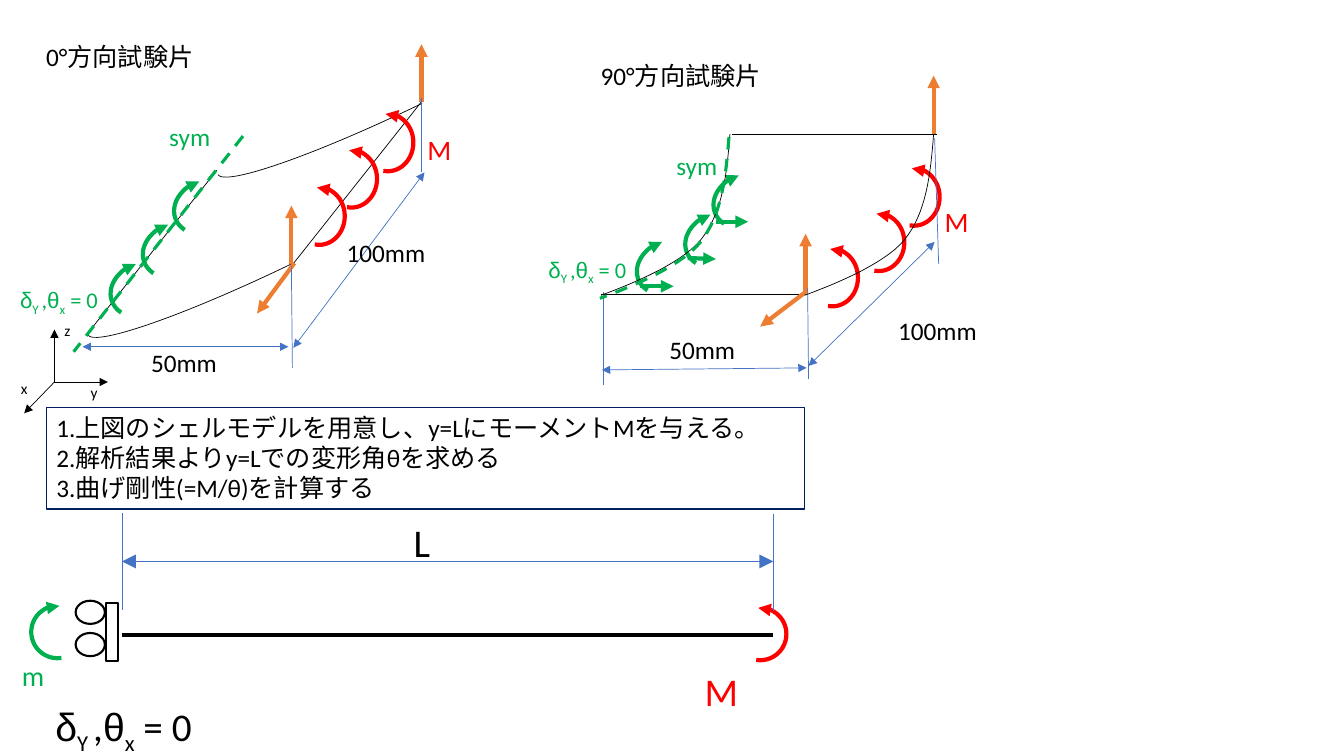
from dataclasses import dataclass

from lxml import etree
from pptx import Presentation, util as u
from pptx.dml.color import RGBColor
from pptx.enum import dml, shapes, text
from pptx.oxml import ns

HUES = {"black": "000000", "white": "FFFFFF", "green": "00B050", "red": "FF0000",
        "blue": "4472C4", "orange": "ED7D31", "navy": "002060"}
KIND = shapes.MSO_SHAPE


@dataclass
class Pen:
    hue: str
    width: float
    head: str = ""
    tail: str = ""
    dash: bool = False


@dataclass
class Line:
    x1: float
    y1: float
    x2: float
    y2: float
    pen: Pen


@dataclass
class Arc:
    x: float
    y: float
    w: float
    h: float
    pen: Pen
    turn: float = 0
    flip: bool = False
    span: tuple[float, ...] = ()


@dataclass
class Run:
    text: str
    face: str = "Calibri"
    base: int = 0


@dataclass
class Label:
    x: float
    y: float
    w: float
    h: float
    rows: list[list[Run]]
    size: float = 18
    hue: str = "black"
    wrap: bool = True
    mid: bool = False


EDGE, BEAM, BODY = Pen("black", 0.5), Pen("black", 3), Pen("black", 1.5)
AXIS = Pen("black", 0.5, tail="med")
EXT, DIM = Pen("blue", 0.5), Pen("blue", 0.5, "med", "med")
SPAN = Pen("blue", 0.5, "lg", "lg")
FORCE, SLIDE = Pen("orange", 3, tail="med"), Pen("green", 3, tail="med")
LOAD, SYM = Pen("red", 3, tail="med"), Pen("green", 2.25, dash=True)
FRAME = Pen("navy", 0.75)
HALF, TILT = (48.79, 164.53), (92.37, 164.53)


def say(*rows: str) -> list[list[Run]]:
    return [[Run(row)] for row in rows]


BOUND = [[Run("δ", "Arial"), Run("Y ", base=-25000), Run(","),
          Run("θ", "Arial"), Run("x", base=-25000), Run(" = 0")]]

EDGES = [
    Line(2.15, 1.69, 0.86, 3.32, EDGE), Line(4.18, 1.01, 2.89, 2.64, EDGE),
    Line(7.26, 1.33, 9.29, 1.33, EDGE), Line(5.96, 2.92, 7.99, 2.92, EDGE),
    Line(1.21, 6.3, 7.67, 6.3, BEAM),
]
LINES = [
    Line(4.18, 1.01, 4.18, 0.44, FORCE), Line(2.89, 2.62, 2.89, 2.04, FORCE),
    Line(2.92, 2.61, 2.55, 3.11, FORCE), Line(2.89, 2.64, 2.9, 3.65, EXT),
    Line(0.82, 3.44, 2.86, 3.44, DIM), Line(2.41, 1.35, 0.73, 3.49, SYM),
    Line(4.18, 0.97, 4.18, 1.71, EXT), Line(2.91, 3.45, 4.21, 1.71, DIM),
    Line(0.54, 3.79, 0.24, 4.1, AXIS), Line(0.54, 3.79, 1.07, 3.79, AXIS),
    Line(0.54, 3.8, 0.54, 3.27, AXIS),
    Line(9.26, 1.33, 9.26, 0.75, FORCE), Line(7.99, 2.9, 7.99, 2.32, FORCE),
    Line(8, 2.89, 7.54, 3.24, FORCE), Line(5.98, 2.9, 5.98, 3.82, EXT),
    Line(8.01, 2.86, 8.02, 3.76, EXT), Line(5.97, 3.67, 8, 3.65, DIM),
    Line(8.02, 3.63, 9.27, 2.4, DIM), Line(9.27, 1.37, 9.31, 2.62, EXT),
    Line(6.35, 2.84, 6.68, 2.84, SLIDE), Line(6.82, 2.56, 7.1, 2.57, SLIDE),
    Line(7.1, 2.2, 7.42, 2.2, SLIDE),
    Line(1.21, 5.09, 1.21, 6.05, EXT), Line(7.67, 5.1, 7.67, 6.06, EXT),
    Line(1.21, 5.57, 7.67, 5.57, SPAN),
]
LOADS = [(2.91, 1.86), (3.23, 1.49), (3.59, 1.13), (8, 2.47), (8.46, 2.12), (8.81, 1.67)]
HOLDS = [(1.72, 1.79), (1.09, 2.61), (1.41, 2.22), (6.31, 2.39), (7.07, 1.73), (6.79, 2.12)]
ARCS = [
    *(Arc(x, y, 4.26, 0.49, EDGE, 154.2) for x, y in [(0.66, 2.15), (1.95, 0.56)]),
    *(Arc(x, y, 0.51, 0.57, LOAD, flip=True, span=HALF) for x, y in LOADS),
    *(Arc(x, y, 0.66, 0.53, SLIDE, 340, span=TILT) for x, y in HOLDS),
    Arc(7.28, 6.03, 0.52, 0.52, LOAD, flip=True, span=HALF),
    Arc(0.31, 6.01, 0.52, 0.52, SLIDE, span=HALF),
]
BENDS = [(5.96, 1.33, EDGE), (7.98, 1.33, EDGE), (5.95, 1.36, SYM)]
CUBICS = [[(1.28, 0), (1.25, 0.39), (1.21, 0.78), (0.99, 1.05)],
          [(0.99, 1.05), (0.78, 1.31), (0.19, 1.53), (0, 1.6)]]
NOTE = Label(0.46, 4.04, 7.52, 1.01, say(
    "1.上図のシェルモデルを用意し、y=LにモーメントMを与える。",
    "2.解析結果よりy=Lでの変形角θを求める",
    "3.曲げ剛性(=M/θ)を計算する"))
LABELS = [
    Label(0.36, 0.36, 1.84, 0.4, say("0°方向試験片"), wrap=False),
    Label(5.86, 0.55, 1.97, 0.4, say("90°方向試験片"), wrap=False),
    Label(1.4, 3.4, 0.86, 0.4, say("50mm"), wrap=False),
    Label(6.54, 3.27, 0.86, 0.4, say("50mm"), wrap=False),
    Label(3.34, 2.31, 1, 0.4, say("100mm")),
    Label(8.81, 3.08, 0.99, 0.4, say("100mm"), wrap=False),
    Label(4.14, 1.27, 0.61, 0.44, say("M"), 20, "red"),
    Label(9.27, 1.98, 0.61, 0.44, say("M"), 20, "red"),
    Label(6.89, 6.57, 0.52, 0.57, say("M"), 28, "red"),
    Label(0.12, 6.48, 0.44, 0.44, say("m"), 20, "green"),
    Label(1.58, 1.15, 0.61, 0.4, say("sym"), hue="green", wrap=False),
    Label(6.61, 1.44, 0.61, 0.4, say("sym"), hue="green", wrap=False),
    Label(0.11, 3.71, 0.3, 0.29, say("x"), 11),
    Label(0.8, 3.75, 0.3, 0.29, say("y"), 11),
    Label(0.54, 3.14, 0.3, 0.29, say("z"), 11),
    Label(3.75, 5.09, 0.87, 0.57, say("L"), 28, mid=True),
    Label(0.1, 2.79, 1.02, 0.37, BOUND, 16, "green"),
    Label(5.34, 2.49, 1.02, 0.37, BOUND, 16, "green"),
    Label(0.45, 6.92, 1.76, 0.57, BOUND, 28),
]
BLOCKS = [(KIND.RECTANGLE, 1.05, 5.98, 0.12, 0.58),
          (KIND.OVAL, 0.75, 6.28, 0.29, 0.23), (KIND.OVAL, 0.75, 5.96, 0.29, 0.23)]


def cm(*spots: float) -> list[u.Length]:
    return [u.Cm(2.54 * spot) for spot in spots]


def tint(name: str) -> RGBColor:
    return RGBColor.from_string(HUES[name])


def ink(shape, pen: Pen) -> None:
    line = shape.line
    line.fill.solid()
    line.color.rgb = tint(pen.hue)
    line.width = u.Pt(pen.width)
    if pen.dash:
        line.dash_style = dml.MSO_LINE.DASH
    stroke = shape._element.spPr.find(ns.qn("a:ln"))
    for tag, size in (("a:headEnd", pen.head), ("a:tailEnd", pen.tail)):
        if size:
            etree.SubElement(stroke, ns.qn(tag), type="triangle", w=size, len=size)


def rule(slide, item: Line) -> None:
    wire = slide.shapes.add_connector(
        shapes.MSO_CONNECTOR.STRAIGHT, *cm(item.x1, item.y1, item.x2, item.y2))
    ink(wire, item.pen)
    etree.SubElement(wire._element.spPr, ns.qn("a:effectLst"))


def sweep(slide, item: Arc) -> None:
    arc = slide.shapes.add_shape(KIND.ARC, *cm(item.x, item.y, item.w, item.h))
    arc.shadow.inherit = False
    arc.fill.background()
    arc.rotation = item.turn
    for slot, angle in enumerate(item.span):
        arc.adjustments[slot] = angle
    if item.flip:
        arc._element.spPr.xfrm.set("flipH", "1")
    ink(arc, item.pen)


def bend(slide, x: float, y: float, pen: Pen) -> None:
    dots = []
    for a, b, c, d in CUBICS:
        for step in range(17):
            t = step / 16
            s = 1 - t
            mix = [s**3 * p + 3 * s * s * t * q + 3 * s * t * t * r + t**3 * e
                   for p, q, r, e in zip(a, b, c, d)]
            dots.append(tuple(cm(x + mix[0], y + mix[1])))
    form = slide.shapes.build_freeform(*dots[0])
    form.add_line_segments(dots[1:], close=False)
    curve = form.convert_to_shape()
    curve.shadow.inherit = False
    curve.fill.background()
    ink(curve, pen)


def write(slide, item: Label):
    box = slide.shapes.add_textbox(*cm(item.x, item.y, item.w, item.h))
    frame = box.text_frame
    frame.word_wrap = item.wrap
    frame.auto_size = text.MSO_AUTO_SIZE.SHAPE_TO_FIT_TEXT
    for slot, row in enumerate(item.rows):
        para = frame.add_paragraph() if slot else frame.paragraphs[0]
        para.alignment = text.PP_ALIGN.CENTER if item.mid else text.PP_ALIGN.LEFT
        for part in row:
            run = para.add_run()
            run.text = part.text
            for key, value in {"size": u.Pt(item.size), "name": part.face}.items():
                setattr(run.font, key, value)
            run.font.color.rgb = tint(item.hue)
            if part.base:
                run.font._element.set("baseline", str(part.base))
    return box


def block(slide, kind: KIND, *spot: float) -> None:
    shape = slide.shapes.add_shape(kind, *cm(*spot))
    shape.shadow.inherit = False
    shape.fill.solid()
    shape.fill.fore_color.rgb = tint("white")
    ink(shape, BODY)


def main() -> None:
    deck = Presentation()
    deck.slide_width, deck.slide_height = cm(13.33, 7.5)
    slide = deck.slides.add_slide(deck.slide_layouts[6])
    for draw, items in ((rule, EDGES), (sweep, ARCS), (rule, LINES), (write, LABELS)):
        for item in items:
            draw(slide, item)
    for curve in BENDS:
        bend(slide, *curve)
    for part in BLOCKS:
        block(slide, *part)
    ink(write(slide, NOTE), FRAME)
    deck.save("out.pptx")


if __name__ == "__main__":
    main()
